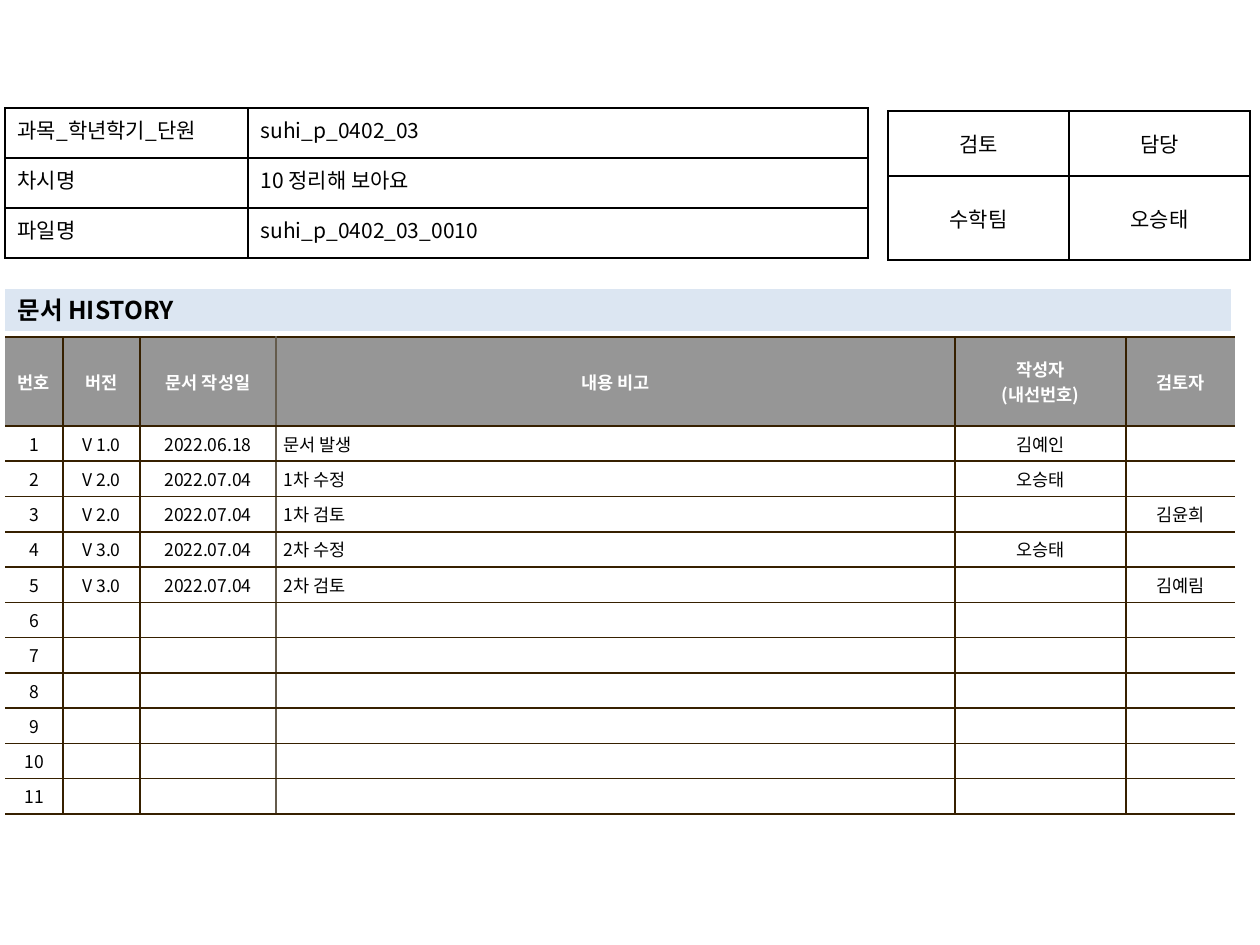
from dataclasses import dataclass
from lxml import etree
from pptx import Presentation
from pptx import util as u
from pptx.dml.color import RGBColor
from pptx.enum import text
from pptx.oxml.ns import qn

PX = u.Inches(1) / 126
ALIGN = text.PP_ALIGN
ANCHOR = text.MSO_ANCHOR


@dataclass(frozen=True)
class Theme:
    font: str = "Noto Sans CJK KR"
    ink: str = "000000"
    white: str = "FFFFFF"
    head: str = "969696"
    bar: str = "DCE6F2"
    rule: str = "362000"
    soft: str = "645B4C"
    small: int = 10
    body: int = 12
    title: int = 14


T = Theme()

INFO = [
    ("과목_학년학기_단원", "suhi_p_0402_03"),
    ("차시명", "10 정리해 보아요"),
    ("파일명", "suhi_p_0402_03_0010"),
]
REVIEW = [("검토", "담당"), ("수학팀", "오승태")]
HEADS = ("번호", "버전", "문서 작성일", "내용 비고", "작성자\n(내선번호)", "검토자")
LOG = [
    ("V 1.0", "2022.06.18", "문서 발생", "김예인", ""),
    ("V 2.0", "2022.07.04", "1차 수정", "오승태", ""),
    ("V 2.0", "2022.07.04", "1차 검토", "", "김윤희"),
    ("V 3.0", "2022.07.04", "2차 수정", "오승태", ""),
    ("V 3.0", "2022.07.04", "2차 검토", "", "김예림"),
]
COUNT = 11


def px(n):
    return u.Emu(round(n * PX))


def style(frame, size, color, bold, align):
    for para in frame.paragraphs:
        para.alignment = align
        for run in para.runs:
            font = run.font
            font.name, font.size, font.bold = T.font, u.Pt(size), bold
            font.color.rgb = RGBColor.from_string(color)
            for tag in ("a:ea", "a:cs"):
                etree.SubElement(run._r.get_or_add_rPr(), qn(tag), typeface=T.font)
        if not para.runs:
            etree.SubElement(para._p, qn("a:endParaRPr"), sz=str(size * 100))


def border(cell, colors):
    props = cell._tc.get_or_add_tcPr()
    for side, color in zip("LRTB", colors):
        line = etree.SubElement(props, qn("a:ln" + side), w=str(u.Pt(1)))
        if color:
            fill = etree.SubElement(line, qn("a:solidFill"))
            etree.SubElement(fill, qn("a:srgbClr"), val=color)
        else:
            etree.SubElement(line, qn("a:noFill"))


def inset(cell, side, top):
    cell.margin_left = cell.margin_right = u.Inches(side)
    cell.margin_top = cell.margin_bottom = u.Inches(top)


def add_grid(slide, left, top, cols, rows, data):
    frame = slide.shapes.add_table(
        len(rows), len(cols), px(left), px(top), px(sum(cols)), px(sum(rows)))
    table = frame.table
    table.first_row = table.horz_banding = False
    for col, width in zip(table.columns, cols):
        col.width = px(width)
    for row, height in zip(table.rows, rows):
        row.height = px(height)
    for row, words in zip(table.rows, data):
        for cell, word in zip(row.cells, words):
            cell.text_frame.text = word
    return table


def add_form(slide, left, top, cols, rows, data, aligns, anchor):
    table = add_grid(slide, left, top, cols, rows, data)
    for row in table.rows:
        for cell, align in zip(row.cells, aligns):
            border(cell, [T.ink] * 4)
            cell.fill.background()
            inset(cell, 0.1, 0.05)
            cell.vertical_anchor = anchor
            style(cell.text_frame, T.body, T.ink, False, align)


def add_log(slide):
    blank = [("",) * len(LOG[0])] * (COUNT - len(LOG))
    data = [HEADS] + [(str(n), *row) for n, row in enumerate(LOG + blank, 1)]
    cols = [58, 77, 136, 679, 171, 109]
    edges = [None, T.rule, T.rule, T.soft, T.rule, T.rule, None]
    table = add_grid(slide, 5, 337, cols, [89] + [31] * COUNT, data)
    for r, row in enumerate(table.rows):
        head = r == 0
        for c, cell in enumerate(row.cells):
            border(cell, [edges[c], edges[c + 1], T.rule, T.rule])
            cell.fill.solid()
            cell.fill.fore_color.rgb = RGBColor.from_string(T.head if head else T.white)
            inset(cell, 0.06, 0.04)
            cell.vertical_anchor = ANCHOR.MIDDLE
            align = ALIGN.LEFT if c == 3 and not head else ALIGN.CENTER
            style(cell.text_frame, T.small, T.white if head else T.ink, head, align)


def set_title(slide, words):
    bar = slide.shapes.title
    bar.left, bar.top, bar.width, bar.height = px(5), px(289), px(1226), px(42)
    bar.fill.solid()
    bar.fill.fore_color.rgb = RGBColor.from_string(T.bar)
    frame = bar.text_frame
    frame.text = words
    frame.auto_size = text.MSO_AUTO_SIZE.NONE
    frame.vertical_anchor = ANCHOR.MIDDLE
    style(frame, T.title, T.ink, True, ALIGN.LEFT)


def main():
    deck = Presentation()
    deck.slide_width, deck.slide_height = px(1260), px(945)
    slide = deck.slides.add_slide(deck.slide_layouts[5])
    set_title(slide, "문서 HISTORY")
    add_log(slide)
    add_form(slide, 888, 111, [181, 181], [65, 84], REVIEW,
             [ALIGN.CENTER] * 2, ANCHOR.MIDDLE)
    add_form(slide, 5, 108, [243, 620], [50] * 3, INFO,
             [ALIGN.JUSTIFY, ALIGN.LEFT], ANCHOR.TOP)
    deck.save("out.pptx")


if __name__ == "__main__":
    main()
